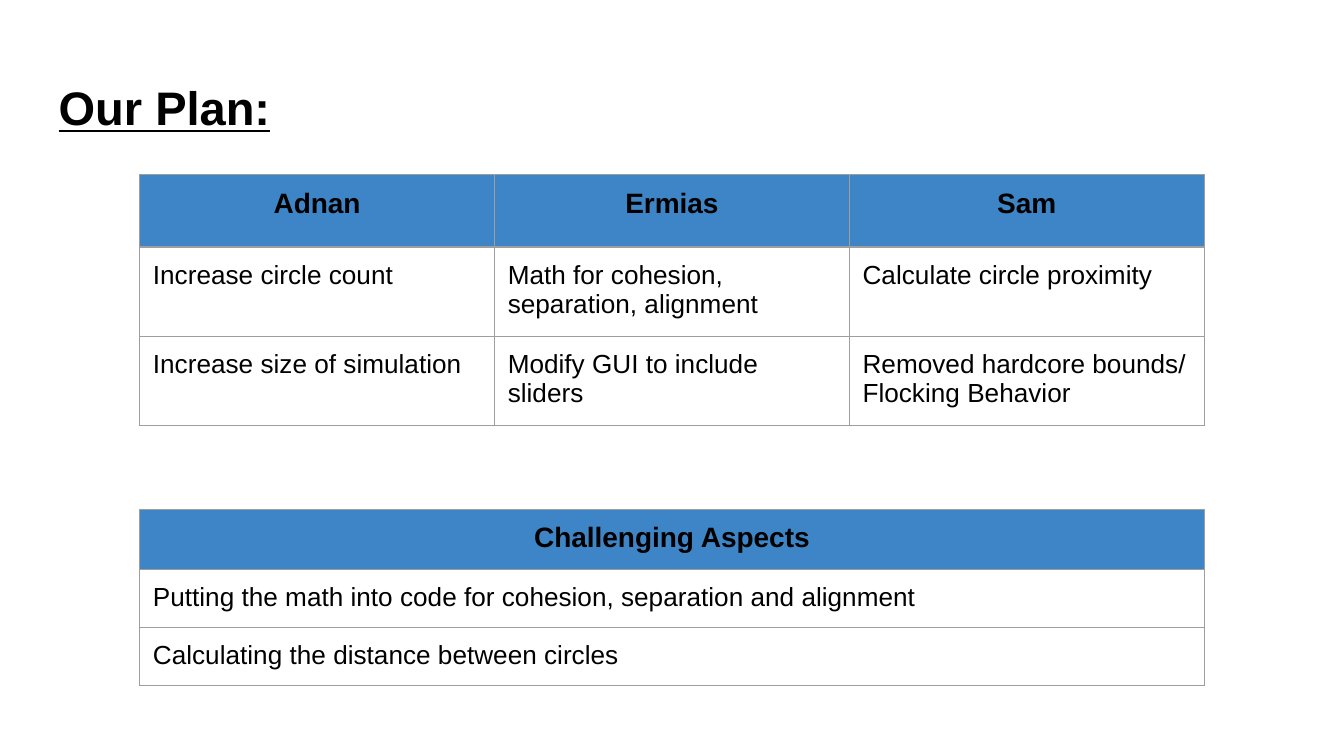
from lxml.etree import SubElement
from pptx import Presentation
from pptx.dml.color import RGBColor
from pptx.enum.text import MSO_VERTICAL_ANCHOR as Anchor, PP_PARAGRAPH_ALIGNMENT as Align
from pptx.oxml.ns import qn
from pptx.util import Cm, Pt

BLACK = RGBColor(0x00, 0x00, 0x00)
BLUE = RGBColor(0x3D, 0x85, 0xC6)
GREY = RGBColor(0x9E, 0x9E, 0x9E)

FONT = "Arial"
TITLE_FORMAT = {"name": FONT, "size": Pt(25.2), "bold": True, "underline": True}
HEADER_FORMAT = {"name": FONT, "size": Pt(15), "bold": True}
BODY_FORMAT = {"name": FONT, "size": Pt(14), "bold": False}

MARGIN = Cm(0.25)
MARGINS = {f"margin_{side}": MARGIN for side in ("left", "right", "top", "bottom")}
TABLE_LEFT, TABLE_WIDTH = Cm(2.64), Cm(20.12)

PLAN = [
    ["Adnan", "Ermias", "Sam"],
    ["Increase circle count", "Math for cohesion, separation, alignment",
     "Calculate circle proximity"],
    ["Increase size of simulation", "Modify GUI to include sliders",
     "Removed hardcore bounds/ Flocking Behavior"],
]
CHALLENGES = [
    ["Challenging Aspects"],
    ["Putting the math into code for cohesion, separation and alignment"],
    ["Calculating the distance between circles"],
]


def apply_format(target, values):
    """Set every attribute named in values on the target."""
    for name, value in values.items():
        setattr(target, name, value)


def write_text(text_frame, text, font_format, alignment=Align.LEFT):
    """Write one formatted paragraph into a text frame."""
    paragraph = text_frame.paragraphs[0]
    paragraph.alignment = alignment
    run = paragraph.add_run()
    run.text = text
    apply_format(run.font, font_format)
    run.font.color.rgb = BLACK


def add_title(slide, text):
    """Add the underlined slide title."""
    shape = slide.shapes.add_textbox(Cm(0.86), Cm(1.24), Cm(23.67), Cm(1.6))
    frame_format = {"word_wrap": True, "vertical_anchor": Anchor.TOP}
    apply_format(shape.text_frame, MARGINS | frame_format)
    write_text(shape.text_frame, text, TITLE_FORMAT)


def add_borders(cell):
    """Draw a thin grey line on all four sides of a cell."""
    properties = cell._tc.get_or_add_tcPr()
    for index, side in enumerate(("a:lnL", "a:lnR", "a:lnT", "a:lnB")):
        line = SubElement(properties, qn(side), w=str(Pt(0.75)))
        fill = SubElement(line, qn("a:solidFill"))
        SubElement(fill, qn("a:srgbClr"), val=str(GREY))
        properties.insert(index, line)


def fill_cell(cell, text, is_header):
    """Write and style a header or body cell."""
    apply_format(cell, MARGINS | {"vertical_anchor": Anchor.TOP})
    if is_header:
        cell.fill.solid()
        cell.fill.fore_color.rgb = BLUE
        write_text(cell.text_frame, text, HEADER_FORMAT, Align.CENTER)
    else:
        cell.fill.background()
        write_text(cell.text_frame, text, BODY_FORMAT)
    add_borders(cell)


def add_grid(slide, rows, top, row_heights):
    """Add a table with equal columns and a blue header row."""
    column_count = len(rows[0])
    table = slide.shapes.add_table(len(rows), column_count, TABLE_LEFT, top,
                                   TABLE_WIDTH, sum(row_heights)).table
    apply_format(table, {"first_row": False, "horz_banding": False})
    for column in table.columns:
        column.width = TABLE_WIDTH // column_count
    for row_index, (texts, height) in enumerate(zip(rows, row_heights)):
        table.rows[row_index].height = height
        for column_index, text in enumerate(texts):
            fill_cell(table.cell(row_index, column_index), text, row_index == 0)


def main():
    """Build the plan slide and save it."""
    presentation = Presentation()
    apply_format(presentation, {"slide_width": Cm(25.4), "slide_height": Cm(14.29)})
    slide = presentation.slides.add_slide(presentation.slide_layouts[6])
    add_title(slide, "Our Plan:")
    add_grid(slide, PLAN, Cm(3.3), [Cm(1.37)] * 3)
    add_grid(slide, CHALLENGES, Cm(9.63), [Cm(1.07)] * 3)
    presentation.save("out.pptx")


main()
